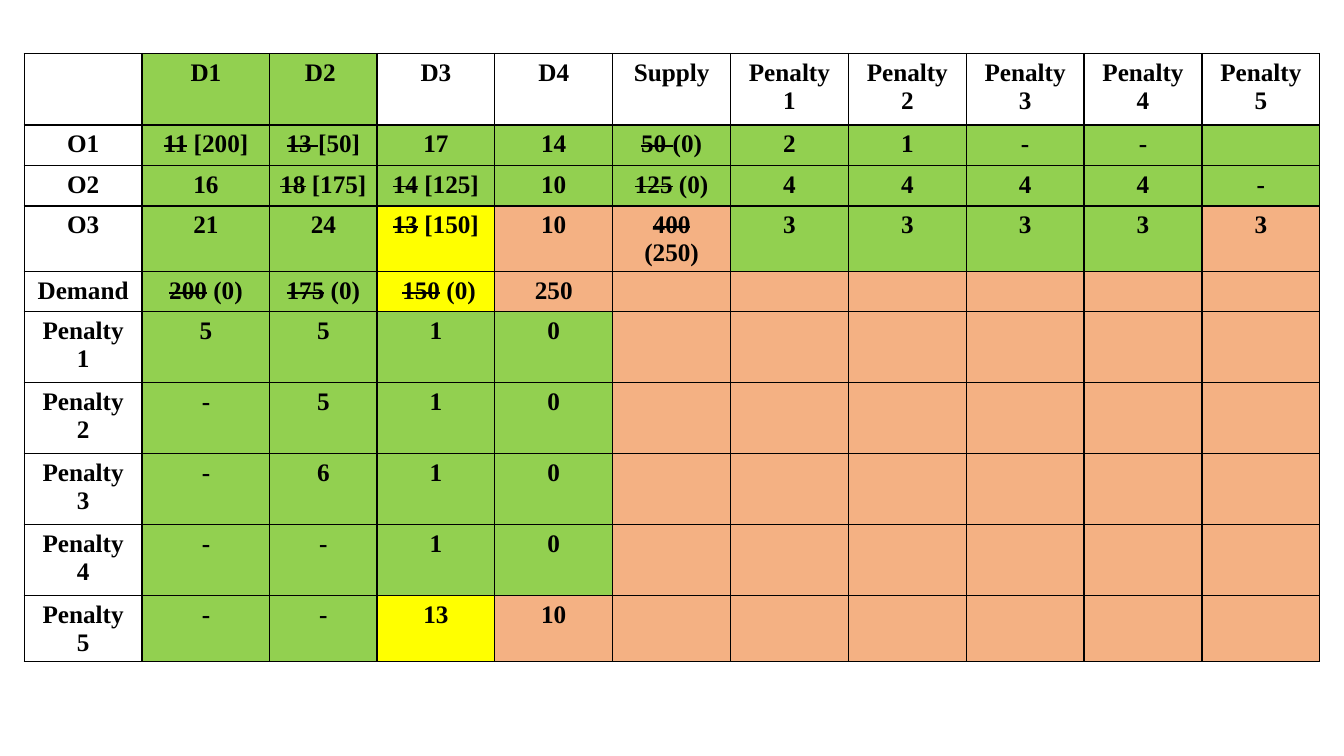
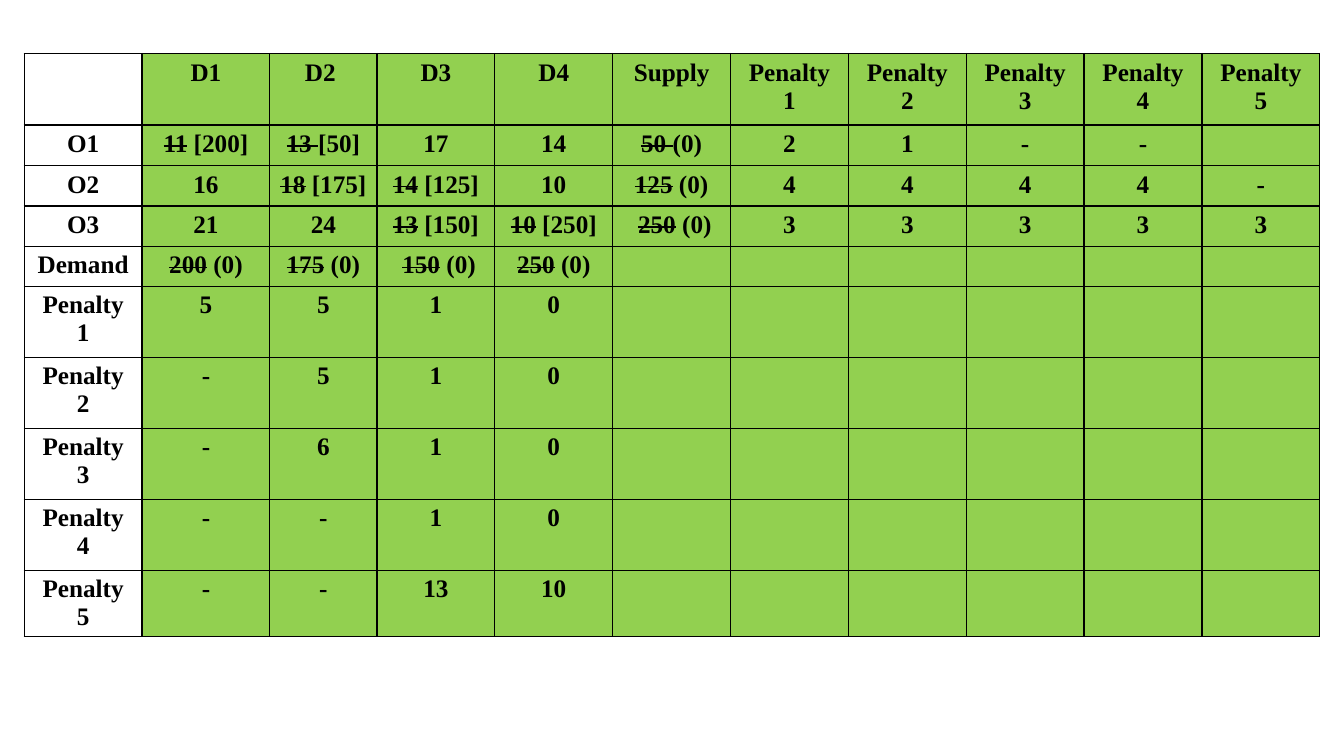
from dataclasses import dataclass

import lxml.etree
import pptx
import pptx.dml.color
import pptx.enum.text
import pptx.oxml.ns
import pptx.presentation
import pptx.table
import pptx.util

Cm = pptx.util.Cm
RGBColor = pptx.dml.color.RGBColor

BLACK = RGBColor(0x00, 0x00, 0x00)
GREEN = RGBColor(0x92, 0xD0, 0x50)
YELLOW = RGBColor(0xFF, 0xFF, 0x00)
ORANGE = RGBColor(0xF4, 0xB1, 0x83)
FILLS = {"G": GREEN, "Y": YELLOW, "O": ORANGE}

FONT_NAME = "Times New Roman"
FONT_SIZE = pptx.util.Pt(18)
BORDER_WIDTH = pptx.util.Pt(1)
STRIKE_MARK = "~"

TABLE_LEFT = Cm(0.61)
TABLE_TOP = Cm(1.35)
COLUMN_WIDTHS = [Cm(2.97), Cm(3.22), Cm(2.7)] + [Cm(2.97)] * 8
ROW_HEIGHTS = [Cm(1.8)] + [Cm(1.02)] * 3 + [Cm(1)] + [Cm(1.79)] * 4 + [Cm(1.02)]

PENALTIES = [f"Penalty {number}" for number in range(1, 6)]
COLUMN_HEADS = ["", "D1", "D2 ", "D3", "D4", "Supply", *PENALTIES]
ROW_HEADS = ["O1", "O2", "O3", "Demand", *PENALTIES]
VALUES = [
    ["~11~ [200]", "~13 ~[50]", "17", "14", "~50 ~(0)", "2", "1", "-", "-", ""],
    ["16", "~18~ [175]", "~14~ [125]", "10", "~125~ (0)", "4", "4", "4", "4", "-"],
    ["21", "24", "~13~ [150]", "10", "~400~ (250)", "3", "3", "3", "3", "3"],
    ["~200~ (0)", "~175~ (0)", " ~150~ (0)", "250"],
    ["5", "5", "1", "0"],
    ["-", "5", "1", "0"],
    ["-", "6", "1", "0"],
    ["-", "-", "1", "0"],
    ["-", "-", "13", "10"],
]


@dataclass(frozen=True)
class AllocationStep:
    fills: list[str]
    changes: dict[tuple[int, int], str]


STEPS = [
    AllocationStep(
        fills=[
            ".GG........",
            ".GGGGGGGGGG",
            ".GGGGGGGGGG",
            ".GGYOOGGGGO",
            ".GGYOOOOOOO",
            *[".GGGGOOOOOO"] * 4,
            ".GGYOOOOOOO",
        ],
        changes={},
    ),
    AllocationStep(
        fills=["." + "G" * 10] * 10,
        changes={(3, 4): "~10~ [250]", (3, 5): " ~250~ (0)", (4, 4): "~250~ (0)"},
    ),
]


def draw_borders(cell: pptx.table._Cell) -> None:
    properties = cell._tc.get_or_add_tcPr()
    qualified = pptx.oxml.ns.qn
    for edge in ("a:lnL", "a:lnR", "a:lnT", "a:lnB"):
        line = lxml.etree.SubElement(properties, qualified(edge), w=str(BORDER_WIDTH))
        fill = lxml.etree.SubElement(line, qualified("a:solidFill"))
        lxml.etree.SubElement(fill, qualified("a:srgbClr"), val=str(BLACK))


def write_text(cell: pptx.table._Cell, text: str) -> None:
    paragraph = cell.text_frame.paragraphs[0]
    paragraph.alignment = pptx.enum.text.PP_ALIGN.CENTER
    paragraph.font.name = FONT_NAME
    paragraph.font.size = FONT_SIZE
    paragraph.font.bold = True
    paragraph.font.color.rgb = BLACK
    for position, part in enumerate(text.split(STRIKE_MARK)):
        if part:
            run = paragraph.add_run()
            run.text = part
            if position % 2:
                run._r.get_or_add_rPr().set("strike", "sngStrike")


def fill_cell(cell: pptx.table._Cell, text: str, fill_code: str) -> None:
    draw_borders(cell)
    if fill_code in FILLS:
        cell.fill.solid()
        cell.fill.fore_color.rgb = FILLS[fill_code]
    else:
        cell.fill.background()
    write_text(cell, text)


def step_texts(step: AllocationStep) -> list[list[str]]:
    rows = [COLUMN_HEADS] + [[head, *values] for head, values in zip(ROW_HEADS, VALUES)]
    texts = [row + [""] * (len(COLUMN_HEADS) - len(row)) for row in rows]
    for (row, column), text in step.changes.items():
        texts[row][column] = text
    return texts


def add_step_slide(presentation: pptx.presentation.Presentation, step: AllocationStep) -> None:
    slide = presentation.slides.add_slide(presentation.slide_layouts[6])
    table = slide.shapes.add_table(
        len(ROW_HEIGHTS), len(COLUMN_WIDTHS), TABLE_LEFT, TABLE_TOP,
        sum(COLUMN_WIDTHS), sum(ROW_HEIGHTS),
    ).table
    table.first_row = False
    table.horz_banding = False
    for column, width in zip(table.columns, COLUMN_WIDTHS):
        column.width = width
    for row, height, texts, codes in zip(table.rows, ROW_HEIGHTS, step_texts(step), step.fills):
        row.height = height
        for cell, text, code in zip(row.cells, texts, codes):
            fill_cell(cell, text, code)


def main() -> None:
    presentation = pptx.Presentation()
    presentation.slide_width = Cm(33.87)
    presentation.slide_height = Cm(19.05)
    for step in STEPS:
        add_step_slide(presentation, step)
    presentation.save("out.pptx")


if __name__ == "__main__":
    main()
